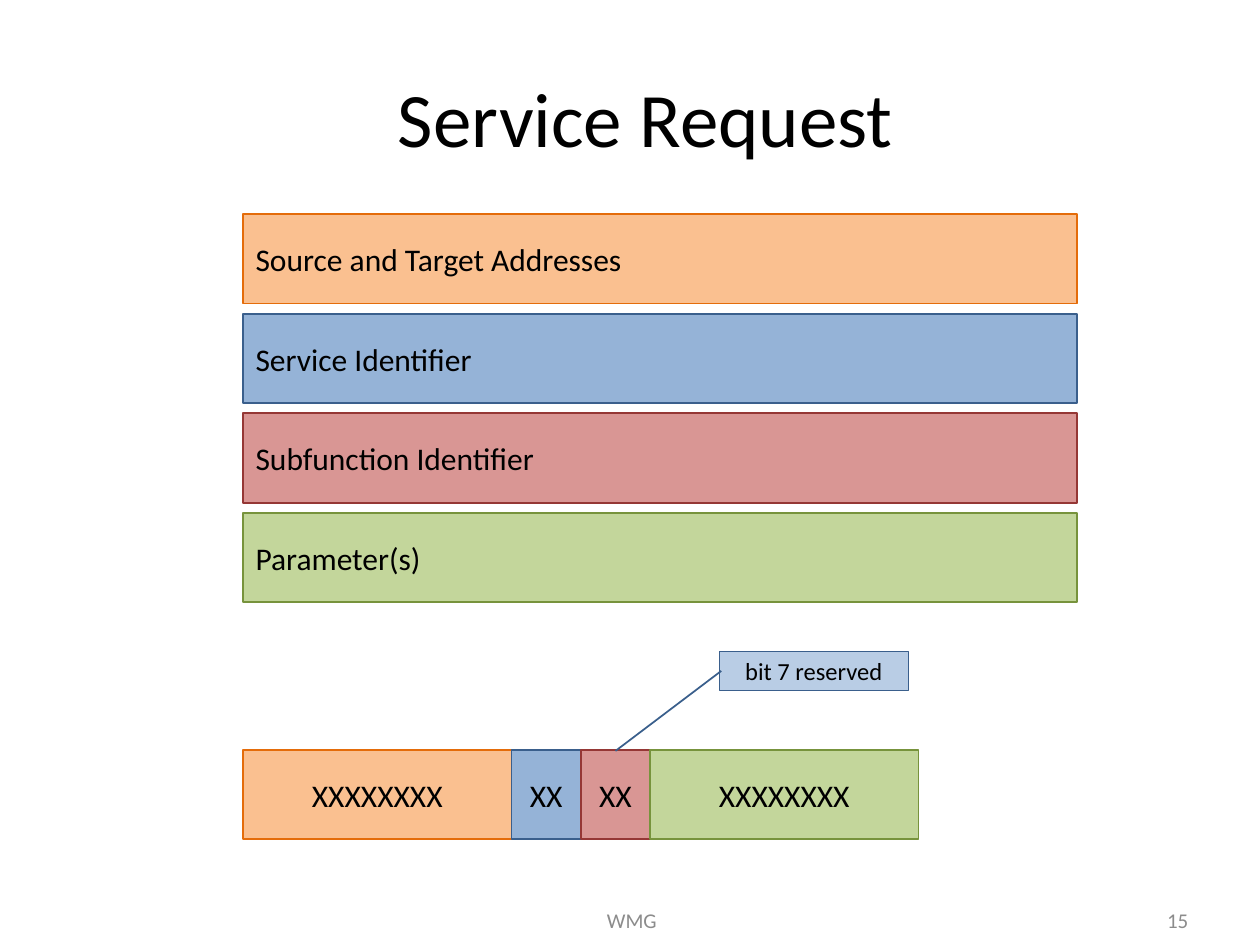
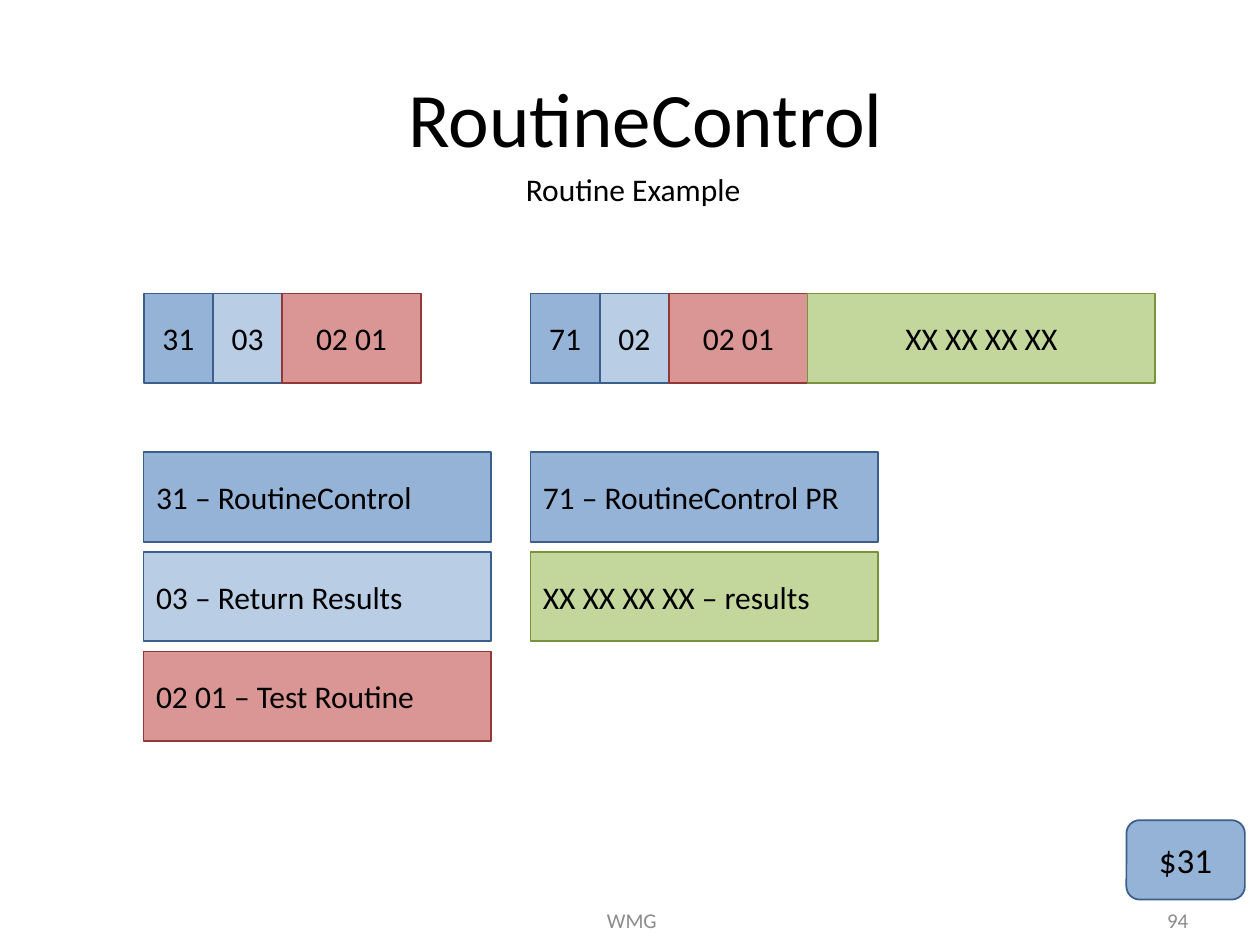
from collections import namedtuple
from dataclasses import dataclass

from pptx import Presentation
from pptx.dml.color import RGBColor
from pptx.enum import shapes, text
from pptx.util import Inches, Pt

Tone = namedtuple("Tone", "fill line")
Box = namedtuple("Box", "left top width height")


@dataclass(frozen=True)
class Theme:
    font: str = "Calibri"
    ink: str = "000000"
    muted: str = "8C8C8C"
    address: Tone = Tone("FAC090", "E46C0A")
    service: Tone = Tone("95B3D7", "3A5F8C")
    option: Tone = Tone("B9CDE5", "3A5F8C")
    identifier: Tone = Tone("D99694", "953735")
    data: Tone = Tone("C3D69B", "77933C")
    title_size: int = 44
    badge_size: int = 20
    body_size: int = 18
    note_size: int = 14
    footer_size: int = 12


THEME = Theme()
CENTER, LEFT, RIGHT = text.PP_ALIGN.CENTER, text.PP_ALIGN.LEFT, text.PP_ALIGN.RIGHT
FIELD_HEIGHT = 0.71
ROW_PITCH = 0.79
BYTE = 0.55
TITLE_BOX = Box(0.75, 0.3, 8.75, 1.25)
FOOTER_BOX = Box(3.43, 7.1, 3.17, 0.4)
NUMBER_BOX = Box(7.2, 7.1, 2.33, 0.4)


def inches(box):
    return [Inches(length) for length in box]


def write(frame, wording, size, align=CENTER, color=THEME.ink, wrap=True,
          anchor=text.MSO_ANCHOR.MIDDLE):
    frame.word_wrap = wrap
    frame.vertical_anchor = anchor
    frame.text = wording
    paragraph = frame.paragraphs[0]
    paragraph.alignment = align
    paragraph.font.name = THEME.font
    paragraph.font.size = Pt(size)
    paragraph.font.color.rgb = RGBColor.from_string(color)


def add_label(slide, box, wording, size, **style):
    label = slide.shapes.add_textbox(*inches(box))
    write(label.text_frame, wording, size, **style)


def add_field(slide, box, wording, tone, align=CENTER, size=THEME.body_size,
              kind=shapes.MSO_SHAPE.RECTANGLE):
    """Add one outlined block of the message, of the given shape kind."""
    field = slide.shapes.add_shape(kind, *inches(box))
    field.shadow.inherit = False
    field.fill.solid()
    field.fill.fore_color.rgb = RGBColor.from_string(tone.fill)
    field.line.color.rgb = RGBColor.from_string(tone.line)
    field.line.width = Pt(1)
    write(field.text_frame, wording, size, align)
    return field


def add_stack(slide, left, top, width, rows):
    """Stack left-aligned explanations from the top down."""
    for index, (wording, tone) in enumerate(rows):
        box = Box(left, top + index * ROW_PITCH, width, FIELD_HEIGHT)
        add_field(slide, box, wording, tone, LEFT)


def add_message(slide, left, top, parts):
    """Set the bytes of a message side by side."""
    for wording, width, tone in parts:
        add_field(slide, Box(left, top, width, FIELD_HEIGHT), wording, tone)
        left += width


def add_titled_slide(deck, heading, number):
    slide = deck.slides.add_slide(deck.slide_layouts[5])
    title = slide.shapes.title
    title.left, title.top, title.width, title.height = inches(TITLE_BOX)
    write(title.text_frame, heading, THEME.title_size)
    add_label(slide, FOOTER_BOX, "WMG", THEME.footer_size, color=THEME.muted)
    add_label(slide, NUMBER_BOX, str(number), THEME.footer_size,
              align=RIGHT, color=THEME.muted)
    return slide


def build_service_request(deck):
    slide = add_titled_slide(deck, "Service Request", 15)
    left = 1.93
    add_stack(slide, left, 1.7, 6.62, [
        ("Source and Target Addresses", THEME.address),
        ("Service Identifier", THEME.service),
        ("Subfunction Identifier", THEME.identifier),
        ("Parameter(s)", THEME.data),
    ])
    add_message(slide, left, 5.95, [
        ("XXXXXXXX", 2.13, THEME.address),
        ("XX", BYTE, THEME.service),
        ("XX", BYTE, THEME.identifier),
        ("XXXXXXXX", 2.13, THEME.data),
    ])
    reserved_bit = add_field(slide, Box(5.71, 5.17, 1.5, 0.31), "bit 7 reserved",
                             THEME.option, size=THEME.note_size,
                             kind=shapes.MSO_SHAPE.LINE_CALLOUT_1)
    for index, ratio in enumerate((0.5, 0.01, 2.55, -0.55)):
        reserved_bit.adjustments[index] = ratio


def build_routine_control(deck):
    slide = add_titled_slide(deck, "RoutineControl", 94)
    add_label(slide, Box(4.06, 1.3, 1.93, 0.4), "Routine Example", THEME.body_size,
              wrap=False, anchor=text.MSO_ANCHOR.TOP)
    request_left, response_left = 1.14, 4.21
    message_top, stack_top, wide = 2.33, 3.59, 2.76
    routine = ("02 01", 2 * BYTE, THEME.identifier)

    add_message(slide, request_left, message_top, [
        ("31", BYTE, THEME.service),
        ("03", BYTE, THEME.option),
        routine,
    ])
    add_message(slide, response_left, message_top, [
        ("71", BYTE, THEME.service),
        ("02", BYTE, THEME.option),
        routine,
        ("XX XX XX XX", wide, THEME.data),
    ])
    add_stack(slide, request_left, stack_top, wide, [
        ("31 – RoutineControl", THEME.service),
        ("03 – Return Results", THEME.option),
        ("02 01 – Test Routine", THEME.identifier),
    ])
    add_stack(slide, response_left, stack_top, wide, [
        ("71 – RoutineControl PR", THEME.service),
        ("XX XX XX XX – results", THEME.data),
    ])
    add_field(slide, Box(8.94, 6.51, 0.94, 0.63), "$31", THEME.service,
              size=THEME.badge_size, kind=shapes.MSO_SHAPE.ROUNDED_RECTANGLE)


def main():
    deck = Presentation()
    deck.slide_width, deck.slide_height = Inches(10), Inches(7.5)
    build_service_request(deck)
    build_routine_control(deck)
    deck.save("out.pptx")


if __name__ == "__main__":
    main()
